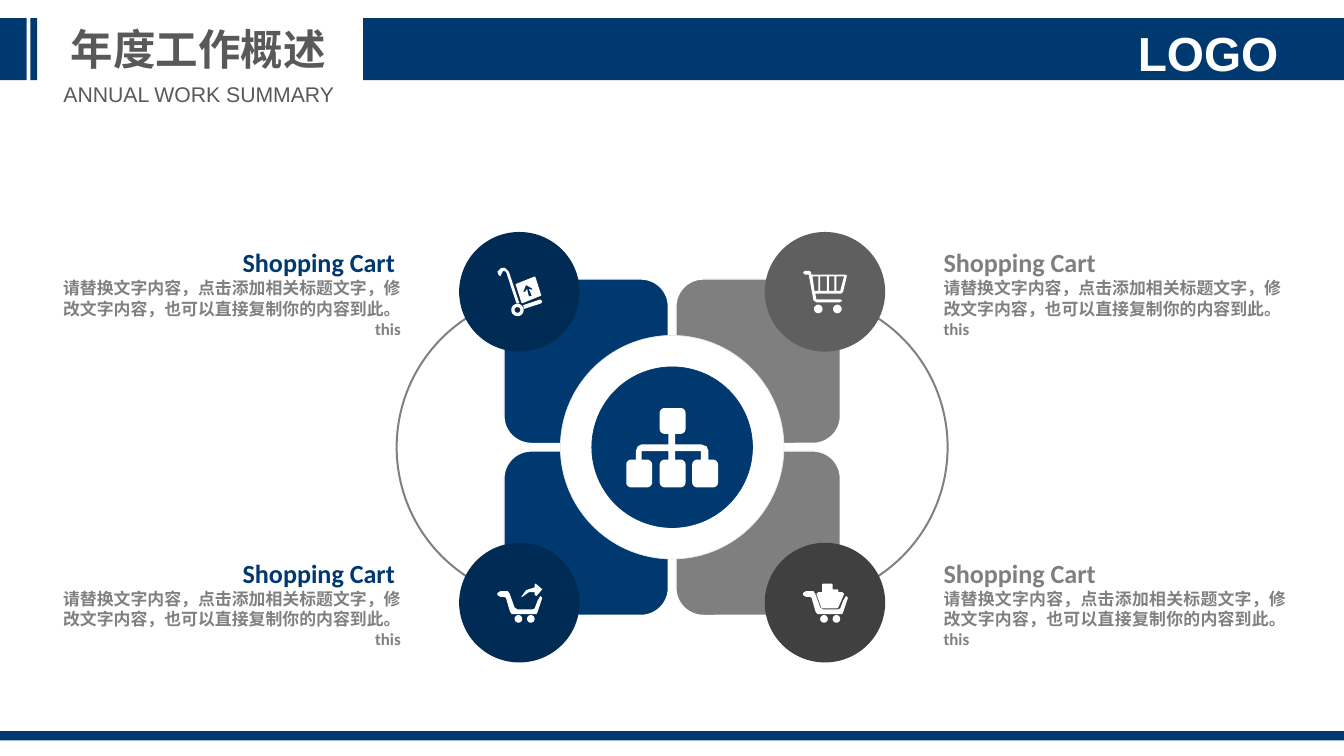
from math import cos, pi, sin

from lxml.etree import SubElement
from pptx import Presentation
from pptx.dml.color import RGBColor
from pptx.enum.shapes import MSO_SHAPE
from pptx.enum.text import PP_ALIGN
from pptx.oxml.ns import qn
from pptx.util import Cm, Pt

NAVY = RGBColor(0x00, 0x39, 0x70)
DARK_NAVY = RGBColor(0x00, 0x2B, 0x54)
WHITE = RGBColor(0xFF, 0xFF, 0xFF)
PALE = RGBColor(0xE7, 0xE6, 0xE6)
GRAY = RGBColor(0x80, 0x80, 0x80)
PETAL_GRAY = RGBColor(0x7F, 0x7F, 0x7F)
MEDIUM_GRAY = RGBColor(0x5F, 0x5F, 0x5F)
DARK_GRAY = RGBColor(0x40, 0x40, 0x40)
TITLE_GRAY = RGBColor(0x59, 0x59, 0x59)

SLIDE_WIDTH, SLIDE_HEIGHT = 35.71, 20.09
BODY = "请替换文字内容，点击添加相关标题文字，修改文字内容，也可以直接复制你的内容到此。 this"


def rounded_box(left, top, width, height, radius):
    corners = [
        (left + width - radius, top + height - radius),
        (left + radius, top + height - radius),
        (left + radius, top + radius),
        (left + width - radius, top + radius),
    ]
    return [
        (x + radius * cos(angle), y + radius * sin(angle))
        for quarter, (x, y) in enumerate(corners)
        for angle in [(quarter + step / 5) * pi / 2 for step in range(6)]
    ]


def circle(x, y, radius):
    return rounded_box(x - radius, y - radius, 2 * radius, 2 * radius, radius)


def box(left, top, right, bottom):
    return [(left, top), (right, top), (right, bottom), (left, bottom)]


ORGANIZATION_ICON = [
    rounded_box(-13, -41, 27, 27, 5),
    *[rounded_box(left, 13, 27, 29, 5) for left in (-48, -13, 21)],
    [(-4, -14), (3, -14), (3, -3), (30, -3), (36, -1), (38, 4), (38, 13),
     (30, 13), (30, 4), (3, 4), (3, 13), (-4, 13), (-4, 4), (-32, 4),
     (-32, 13), (-38, 13), (-38, 4), (-36, -1), (-32, -3), (-4, -3)],
]
TROLLEY_ICON = [
    [(17, -15), (23, 4), (3, 12), (2, 11), (-4, -8), (16, -16)],
    [(14, -3), (7, -7), (4, 0), (6, 0), (8, -3), (10, 5), (13, 4), (10, -3), (13, -2)],
    [(22, 8), (4, 14), (5, 18), (23, 12), (24, 10)],
    [(-22, -18), (-23, -21), (-19, -25), (-15, -25), (-11, -21), (0, 12),
     (-3, 12), (-14, -21), (-17, -22), (-19, -18), (-20, -16)],
    circle(-2, 19, 6.5),
    circle(-2, 19, 3),
]
EMPTY_CART_ICON = [
    [(23, -17), (19, 0), (17, 2), (-10, 2), (-9, 8), (16, 8), (18, 9),
     (16, 11), (-9, 11), (-12, 9), (-17, -18), (-21, -18), (-23, -20),
     (-21, -22), (-16, -22), (-15, -21), (-14, -18), (21, -18)],
    [(-11, -1), (-7, -1), (-7, -16), (-13, -16)],
    box(-5, -16, 2, -1),
    box(4, -16, 10, -1),
    [(12, -16), (12, -1), (16, -1), (20, -16)],
    circle(-7, 18, 4.5),
    circle(13, 18, 4.5),
]
CART_FRAME = [
    [(16, 6), (19, -2), (22, -7), (24, -5), (23, -2), (19, 10), (18, 12),
     (-8, 12), (-10, 9), (-14, -5), (-16, -6), (-20, -6), (-23, -8),
     (-23, -10), (-20, -12), (-12, -12), (-10, -9), (-5, 5), (-2, 7), (14, 7)],
    circle(-1, 17, 4),
    circle(12, 17, 4),
]
FORWARD_CART_ICON = CART_FRAME + [
    [(16, -8), (16, -11), (10, -11), (3, -6), (2, -6), (7, -13), (16, -16),
     (16, -19), (17, -20), (24, -14), (18, -7)],
]
FULL_CART_ICON = CART_FRAME + [
    [(13, 6), (-2, 6), (-4, 5), (-9, -9), (-7, -11), (-3, -11), (-3, -19),
     (-2, -20), (7, -20), (8, -19), (8, -14), (13, -14), (14, -13),
     (14, -11), (18, -11), (20, -9), (14, 5)],
]


def format_shape(shape, fill=None, line=None, weight=1):
    shape.shadow.inherit = False
    if fill is None:
        shape.fill.background()
    else:
        shape.fill.solid()
        shape.fill.fore_color.rgb = fill
    if line is None:
        shape.line.fill.background()
    else:
        shape.line.color.rgb = line
        shape.line.width = Pt(weight)


def add_preset(slide, preset, left, top, width, height, **look):
    shape = slide.shapes.add_shape(preset, Cm(left), Cm(top), Cm(width), Cm(height))
    format_shape(shape, **look)
    return shape


def add_disc(slide, x, y, width, height, **look):
    add_preset(slide, MSO_SHAPE.OVAL, x - width / 2, y - height / 2, width, height, **look)


def add_icon(slide, x, y, contours):
    scaled = [[(round(10 * a), round(10 * b)) for a, b in contour] for contour in contours]
    first, *others = scaled
    builder = slide.shapes.build_freeform(*first[0], scale=Cm(0.00254))
    builder.add_line_segments(first[1:], close=True)
    for contour in others:
        builder.move_to(*contour[0])
        builder.add_line_segments(contour[1:], close=True)
    format_shape(builder.convert_to_shape(Cm(x), Cm(y)), fill=WHITE)


def add_text_frame(slide, left, top, width, height, wrap=True, inset=True):
    frame = slide.shapes.add_textbox(Cm(left), Cm(top), Cm(width), Cm(height)).text_frame
    frame.word_wrap = wrap
    if not inset:
        frame.margin_left = frame.margin_right = frame.margin_top = frame.margin_bottom = 0
    return frame


def write_text(paragraph, text, size, color, font="Arial", bold=False, align=PP_ALIGN.LEFT):
    paragraph.alignment = align
    run = paragraph.add_run()
    run.text = text
    run.font.size = Pt(size)
    run.font.bold = bold
    run.font.name = font
    run.font.color.rgb = color
    SubElement(run.font._element, qn("a:ea")).set("typeface", font)


def add_header(slide, left, top, width, height):
    for bar_left, bar_width in ((0, 0.71), (0.81, 0.18), (9.65, width - 9.65)):
        add_preset(slide, MSO_SHAPE.RECTANGLE, left + bar_left, top, bar_width, height, fill=NAVY)
    title = add_text_frame(slide, left + 1.6, top, 7.34, 1.63, wrap=False)
    write_text(title.paragraphs[0], "年度工作概述", 32, TITLE_GRAY, bold=True, align=PP_ALIGN.CENTER)
    subtitle = add_text_frame(slide, left + 1.4, top + 1.55, 7.77, 0.94, wrap=False)
    write_text(subtitle.paragraphs[0], "ANNUAL WORK SUMMARY", 16, TITLE_GRAY, align=PP_ALIGN.CENTER)
    logo = add_text_frame(slide, left + 29.46, top + 0.15, 5.28, 1.55, inset=False)
    write_text(logo.paragraphs[0], "LOGO", 36, WHITE, bold=True, align=PP_ALIGN.CENTER)


def add_description(slide, left, top, width, height, heading, color, align, body_align):
    frame = add_text_frame(slide, left, top, width, height)
    write_text(frame.paragraphs[0], heading, 19.7, color, font="Calibri", bold=True, align=align)
    write_text(frame.add_paragraph(), BODY, 12.7, GRAY, font="Calibri", bold=True, align=body_align)


def add_diagram(slide, left, top, width, height):
    x, y = left + width / 2, top + height / 2
    ring = 8.2
    for ring_left, start, end in ((left, 17.37, 270), (left + width - ring, 270, 162.63)):
        arc = add_preset(slide, MSO_SHAPE.ARC, ring_left, y - ring / 2, ring, ring,
                         line=GRAY, weight=1.5)
        arc.adjustments[0] = start * 0.6
        arc.adjustments[1] = end * 0.6

    petal, gap = 4.37, 0.1
    for petal_left, color in ((x - gap - petal, NAVY), (x + gap, PETAL_GRAY)):
        for petal_top in (y - gap - petal, y + gap):
            add_preset(slide, MSO_SHAPE.ROUNDED_RECTANGLE, petal_left, petal_top,
                       petal, petal, fill=color, line=WHITE)

    add_disc(slide, x, y, 5.94, 5.94, fill=WHITE, line=PALE, weight=0.5)
    add_disc(slide, x, y, 4.27, 4.27, fill=NAVY, line=NAVY, weight=0.5)
    add_icon(slide, x, y, ORGANIZATION_ICON)

    badges = [
        (-1, -1, DARK_NAVY, TROLLEY_ICON),
        (1, -1, MEDIUM_GRAY, EMPTY_CART_ICON),
        (-1, 1, DARK_NAVY, FORWARD_CART_ICON),
        (1, 1, DARK_GRAY, FULL_CART_ICON),
    ]
    for across, down, color, icon in badges:
        badge_x, badge_y = x + 4.06 * across, y + 4.13 * down
        add_disc(slide, badge_x, badge_y, 3.2, 3.18, fill=color)
        add_icon(slide, badge_x, badge_y, icon)


def main():
    presentation = Presentation()
    presentation.slide_width, presentation.slide_height = Cm(SLIDE_WIDTH), Cm(SLIDE_HEIGHT)
    slide = presentation.slides.add_slide(presentation.slide_layouts[6])
    add_diagram(slide, 10.54, 6.17, 14.64, 11.43)
    for top, right_body in ((6.43, PP_ALIGN.LEFT), (14.68, PP_ALIGN.JUSTIFY)):
        add_description(slide, 1.3, top, 9.6, 2.72, "Shopping Cart ", NAVY,
                        PP_ALIGN.RIGHT, PP_ALIGN.RIGHT)
        add_description(slide, 24.82, top, 9.6, 2.72, "Shopping Cart", PETAL_GRAY,
                        PP_ALIGN.LEFT, right_body)
    add_header(slide, 0, 0.48, SLIDE_WIDTH, 1.65)
    add_preset(slide, MSO_SHAPE.RECTANGLE, 0, 19.43, SLIDE_WIDTH, 0.25, fill=NAVY)
    presentation.save("out.pptx")


if __name__ == "__main__":
    main()
